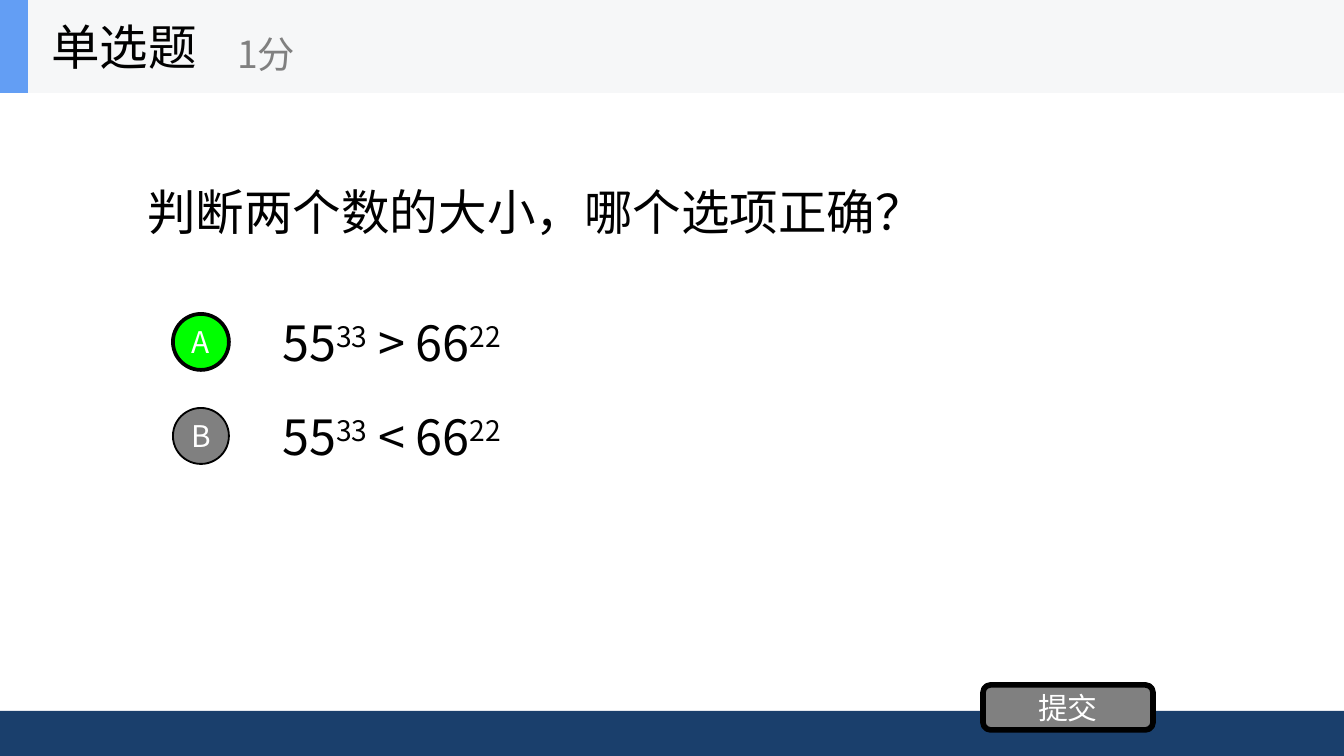
from lxml import etree
from pptx import Presentation
from pptx.dml.color import RGBColor
from pptx.enum.shapes import MSO_SHAPE
from pptx.enum.text import MSO_ANCHOR, PP_ALIGN
from pptx.oxml.ns import qn
from pptx.util import Emu, Pt

RECT, ROUNDED, OVAL = MSO_SHAPE.RECTANGLE, MSO_SHAPE.ROUNDED_RECTANGLE, MSO_SHAPE.OVAL
MIDDLE = MSO_ANCHOR.MIDDLE
LEFT, CENTER = PP_ALIGN.LEFT, PP_ALIGN.CENTER

EMU_PER_PX = 914400 / 134.4
FONT = "Noto Sans CJK SC"
SUPERSCRIPT = 30000

BLACK = RGBColor(0x00, 0x00, 0x00)
WHITE = RGBColor(0xFF, 0xFF, 0xFF)
GRAY = RGBColor(0x80, 0x80, 0x80)
GREEN = RGBColor(0x00, 0xFF, 0x00)
NAVY = RGBColor(0x1A, 0x3F, 0x6C)
BLUE = RGBColor(0x63, 0x9E, 0xF4)
PALE = RGBColor(0xF6, 0xF7, 0xF8)

OPTIONS = [("A", ">", GREEN, 2), ("B", "<", GRAY, 1)]
OPTION_TOP, OPTION_STEP, OPTION_H = 307, 94, 71
BADGE = 56


def px(n):
    return Emu(round(n * EMU_PER_PX))


def add_run(p, text, size, color, baseline=0):
    r = p.add_run()
    r.text = text
    r.font.size = Pt(size)
    r.font.color.rgb = color
    r.font.name = FONT
    rPr = r._r.get_or_add_rPr()
    etree.SubElement(rPr, qn("a:ea")).set("typeface", FONT)
    if baseline:
        rPr.set("baseline", str(baseline))


def add_box(shapes, kind, x, y, w, h, fill, line_width=0):
    sp = shapes.add_shape(kind, px(x), px(y), px(w), px(h))
    sp.shadow.inherit = False
    sp.fill.solid()
    sp.fill.fore_color.rgb = fill
    if line_width:
        sp.line.color.rgb = BLACK
        sp.line.width = Pt(line_width)
    else:
        sp.line.fill.background()
    return sp


def add_label(sp, text):
    """Centre white text in a shape, without insets."""
    tf = sp.text_frame
    tf.margin_left = tf.margin_right = tf.margin_top = tf.margin_bottom = 0
    tf.vertical_anchor = MIDDLE
    p = tf.paragraphs[0]
    p.alignment = CENTER
    add_run(p, text, 16, WHITE)


def add_text(shapes, x, y, w, h, runs, size=26, color=BLACK):
    """Add a text box; runs are (text, baseline) pairs."""
    tf = shapes.add_textbox(px(x), px(y), px(w), px(h)).text_frame
    tf.word_wrap = True
    tf.vertical_anchor = MIDDLE
    p = tf.paragraphs[0]
    p.alignment = LEFT
    for text, baseline in runs:
        add_run(p, text, size, color, baseline)


def add_header(s):
    shapes = s.shapes.add_group_shape().shapes
    add_box(shapes, RECT, 0, 0, 1344, 93, PALE)
    add_box(shapes, RECT, 0, 0, 28, 93, BLUE)
    add_text(shapes, 38, 0, 280, 93, [("单选题", 0)])
    add_text(shapes, 224, 16, 336, 75, [("1分", 0)], 20, GRAY)


def add_option(s, y, letter, sign, fill, line_width):
    add_text(s.shapes, 269, y, 941, OPTION_H,
             [("55", 0), ("33", SUPERSCRIPT), (f" {sign} 66", 0), ("22", SUPERSCRIPT)])
    badge_y = y + (OPTION_H - BADGE) // 2
    badge = add_box(s.shapes, OVAL, 173, badge_y, BADGE, BADGE, fill, line_width)
    add_label(badge, letter)


def main():
    prs = Presentation()
    prs.slide_width, prs.slide_height = px(1344), px(756)
    s = prs.slides.add_slide(prs.slide_layouts[6])

    add_box(s.shapes, RECT, 0, 711, 1344, 45, NAVY)
    add_text(s.shapes, 134, 93, 1075, 237, [("判断两个数的大小，哪个选项正确？", 0)])
    for i, option in enumerate(OPTIONS):
        add_option(s, OPTION_TOP + i * OPTION_STEP, *option)
    add_label(add_box(s.shapes, ROUNDED, 983, 685, 170, 45, GRAY, 3), "提交")
    add_header(s)

    prs.save("out.pptx")


if __name__ == "__main__":
    main()
